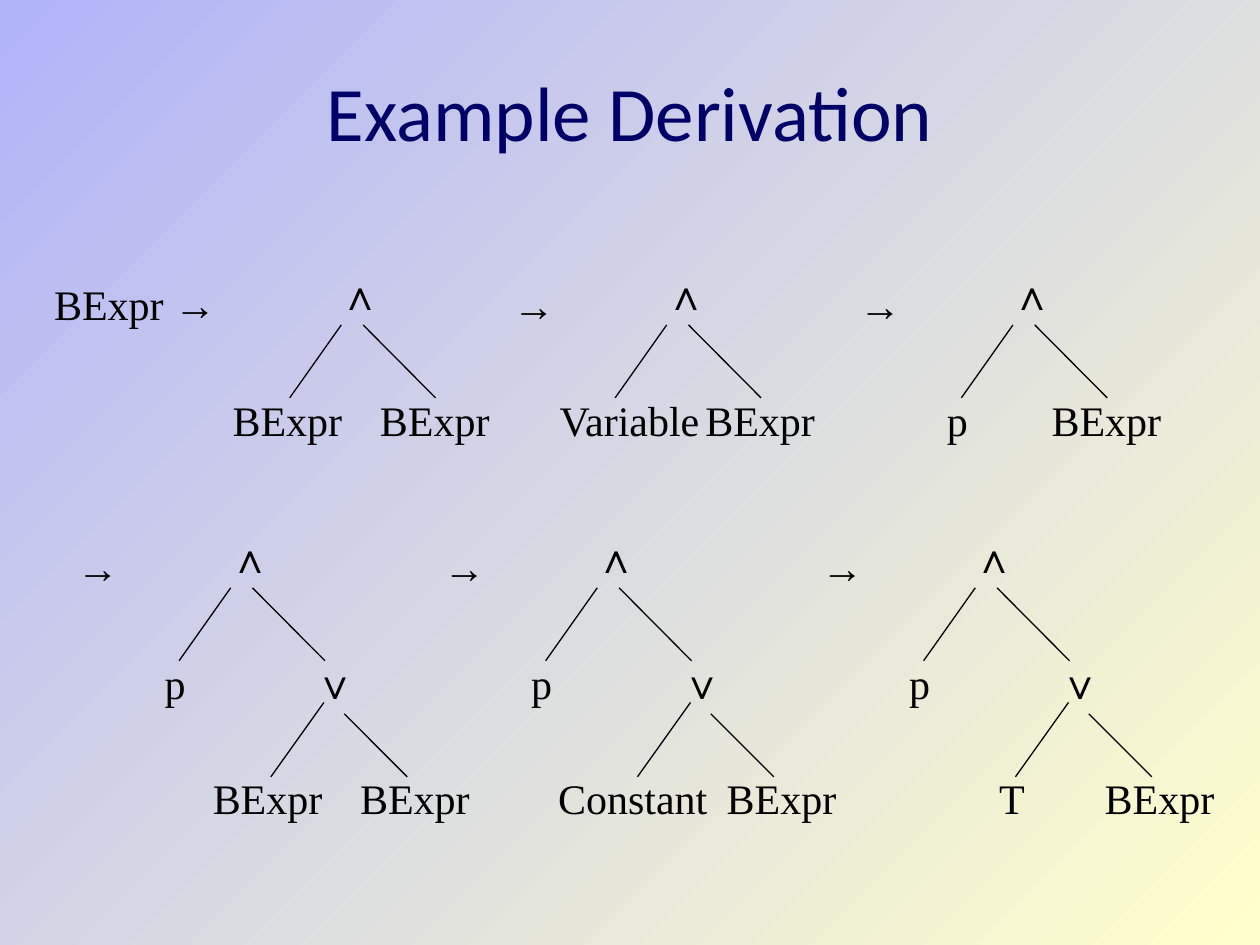
from pptx import Presentation
from pptx.dml.color import RGBColor
from pptx.enum.shapes import MSO_CONNECTOR as Connector
from pptx.enum.text import MSO_ANCHOR as Anchor, MSO_AUTO_SIZE as AutoSize, PP_ALIGN as Align
from pptx.oxml.ns import qn
from pptx.util import Cm, Pt
from lxml import etree

AND, OR, ARROW = "\u2227", "\u2228", "\u2192"
WIDTHS = {"BExpr": 2.74, "Variable": 3.35, "Constant": 3.56, "p": 0.94, "T": 1.04,
          AND: 0.94, OR: 1.02, ARROW: 1.35, "BExpr " + ARROW: 3.81}

# Offsets from the operator's box: each arm is start x, start y, end x, end y.
AND_NODE = dict(arms=[(0.28, 1.27, -0.76, 2.74), (0.72, 1.27, 2.18, 2.74)], drop=2.54,
                left={"BExpr": -2.16, "Variable": -2.13, "p": -1.3},
                right={"BExpr": 0.81, OR: 1.73})
OR_NODE = dict(arms=[(0.43, 1.04, -0.64, 2.54), (0.84, 1.27, 2.11, 2.54)], drop=2.32,
               left={"BExpr": -2.06, "Constant": -2.49, "T": -1.22},
               right={"BExpr": 0.91})
NODES = {AND: AND_NODE, OR: OR_NODE}

# Each row: top, then a left edge and a tree (operator, left, right) per step.
ROWS = [
    (5.28, [(6.6, (AND, "BExpr", "BExpr")),
            (13.16, (AND, "Variable", "BExpr")),
            (20.14, (AND, "p", "BExpr"))]),
    (10.58, [(4.37, (AND, "p", (OR, "BExpr", "BExpr"))),
             (11.76, (AND, "p", (OR, "Constant", "BExpr"))),
             (19.38, (AND, "p", (OR, "T", "BExpr")))]),
]


def color(value):
    """Turn a hex string into a colour."""
    return RGBColor.from_string(value)


def add_text(page, text, left, top, width, height, size=24, font="Times New Roman", ink="000000"):
    """Place one line of text and return its frame."""
    box = page.shapes.add_textbox(Cm(left), Cm(top), Cm(width), Cm(height))
    frame = box.text_frame
    frame.text = text
    span = frame.paragraphs[0].runs[0]
    span.font.size, span.font.name = Pt(size), font
    span.font.color.rgb = color(ink)
    return frame


def add_symbol(page, text, left, top):
    """Place a grammar symbol at its usual width."""
    frame = add_text(page, text, left, top, WIDTHS[text], 1.27)
    frame.word_wrap = text == AND
    frame.auto_size = AutoSize.SHAPE_TO_FIT_TEXT


def add_arm(page, left, top, arm):
    """Draw one branch, given relative to its operator's box."""
    x1, y1, x2, y2 = arm
    line = page.shapes.add_connector(Connector.STRAIGHT, Cm(left + x1), Cm(top + y1),
                                     Cm(left + x2), Cm(top + y2))
    line.line.color.rgb = color("000000")
    line.line.width = Pt(0.75)
    etree.SubElement(line._element.spPr, qn("a:effectLst"))


def add_tree(page, tree, left, top):
    """Draw a tree with its root operator's box at left, top."""
    if isinstance(tree, str):
        add_symbol(page, tree, left, top)
        return
    root, *children = tree
    node = NODES[root]
    add_symbol(page, root, left, top)
    for arm, child, side in zip(node["arms"], children, ("left", "right")):
        add_arm(page, left, top, arm)
        name = child if isinstance(child, str) else child[0]
        add_tree(page, child, left + node[side][name], top + node["drop"])


def add_row(page, top, steps):
    """Draw a row of derivation steps, each led by an arrow."""
    for left, tree in steps:
        if tree == (AND, "BExpr", "BExpr"):
            add_symbol(page, "BExpr " + ARROW, left - 5.76, top + 0.2)
        else:
            add_symbol(page, ARROW, left - 3.07, top + 0.22)
        add_tree(page, tree, left, top)


def add_title(page, text):
    """Place the centred title."""
    frame = add_text(page, text, 1.9, 0.23, 21.6, 3.99, 44, "Calibri", "000066")
    frame.word_wrap = True
    frame.vertical_anchor = Anchor.MIDDLE
    frame.paragraphs[0].alignment = Align.CENTER


def paint_background(page, start, end):
    """Fill the page with a gradient from top left to bottom right."""
    fill = page.background.fill
    fill.gradient()
    fill.gradient_angle = 315
    for stop, value, position in zip(fill.gradient_stops, (start, end), (0, 1)):
        stop.color.rgb = color(value)
        stop.position = position


deck = Presentation()
deck.slide_width, deck.slide_height = Cm(25.4), Cm(19.05)
page = deck.slides.add_slide(deck.slide_layouts[6])
paint_background(page, "B1B3F9", "FFFFCC")
add_title(page, "Example Derivation")
for top, steps in ROWS:
    add_row(page, top, steps)
deck.save("out.pptx")
